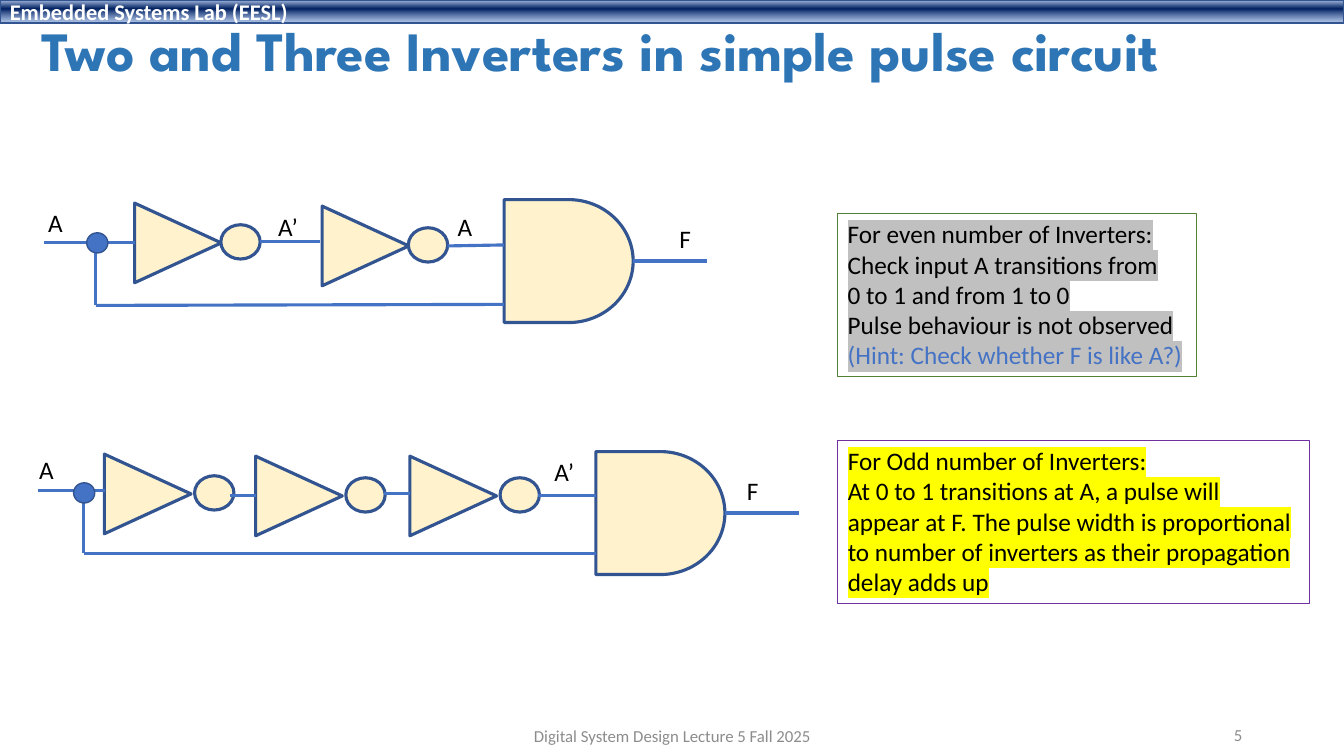
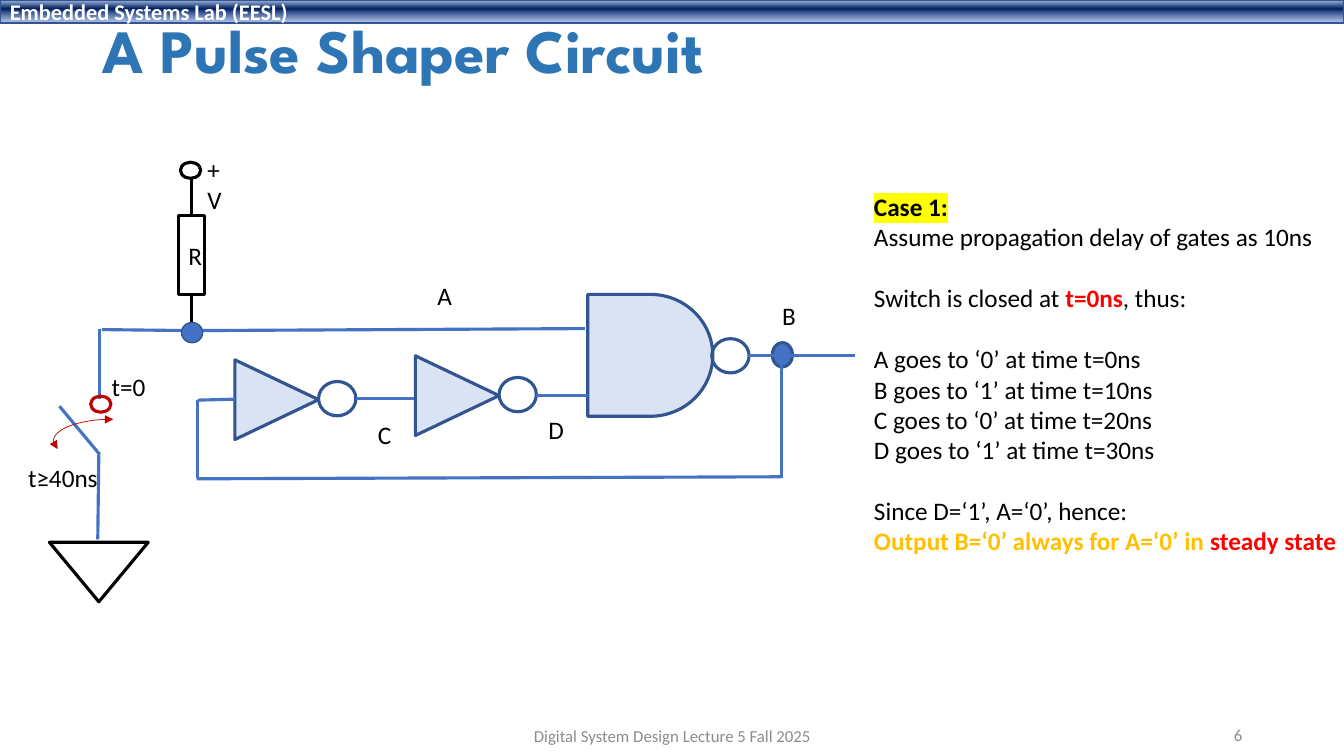
from lxml.etree import SubElement
from copy import deepcopy
from pptx import Presentation
from pptx.dml.color import RGBColor
from pptx.enum.shapes import MSO_CONNECTOR, MSO_SHAPE
from pptx.enum.text import MSO_ANCHOR, PP_ALIGN
from pptx.oxml.ns import qn
from pptx.util import Inches, Pt

COLORS = {
    "black": "000000", "white": "FFFFFF", "title": "2E75B6", "muted": "8C8C8C",
    "wire": "4472C4", "outline": "325491", "cream": "FFF2CC", "pale": "DAE3F3",
    "yellow": "FFFF00", "silver": "C0C0C0", "purple": "7030A0", "green": "548235",
    "red": "FF0000", "dark_red": "C00000", "gold": "FFC000",
    "band_top": "ABC0E4", "band_middle": "002060", "band_bottom": "7E9ED6",
}


def rgb(name):
    return RGBColor.from_string(COLORS[name])


class CircuitDeck:
    body_font = "Calibri"
    title_font = "League Spartan"
    stroke = 2.25
    line_height = 22

    def __init__(self):
        self.presentation = Presentation()
        self.presentation.slide_width = Inches(13.33)
        self.presentation.slide_height = Inches(7.5)
        self.slide = None

    def start(self, title, number, left, width, size):
        layout = self.presentation.slide_layouts[6]
        self.slide = self.presentation.slides.add_slide(layout)
        self.header()
        self.text(left, 0.15, width, 0.77, [title], size=size, color="title", bold=True,
                  font=self.title_font, anchor=MSO_ANCHOR.MIDDLE, spacing=0.9, wrap=True)
        for box, words, align in (((9.42, 7.09, 3, 0.4), number, PP_ALIGN.RIGHT),
                                  ((4.42, 7.1, 4.5, 0.4),
                                   "Digital System Design Lecture 5 Fall 2025", PP_ALIGN.CENTER)):
            self.text(*box, [words], size=12, color="muted", align=align,
                      anchor=MSO_ANCHOR.MIDDLE, wrap=True)

    def header(self):
        band = self.shape(MSO_SHAPE.RECTANGLE, 0, 0, 13.33, 0.23, weight=1)
        band.fill.gradient()
        band.fill.gradient_angle = 270
        stop_list = band._element.spPr.find(".//" + qn("a:gsLst"))
        stop_list.append(deepcopy(stop_list[-1]))
        stops = ((0.02, "band_top"), (0.38, "band_middle"), (0.93, "band_bottom"))
        for stop, (position, color) in zip(band.fill.gradient_stops, stops):
            stop.position = position
            stop.color.rgb = rgb(color)
        SubElement(stop_list[-1][0], qn("a:alpha")).set("val", "64000")
        self.set_text(band.text_frame, ["Embedded Systems Lab (EESL)"],
                      size=16, color="white", bold=True, anchor=MSO_ANCHOR.MIDDLE)

    def set_text(self, frame, paragraphs, size=18, color="black", bold=False, font=None,
                 align=PP_ALIGN.LEFT, anchor=MSO_ANCHOR.TOP, spacing=None, wrap=True,
                 highlight=None):
        frame.word_wrap = wrap
        frame.vertical_anchor = anchor
        for index, content in enumerate(paragraphs):
            paragraph = frame.paragraphs[0] if index == 0 else frame.add_paragraph()
            item = content if isinstance(content, dict) else {"runs": [(content,)]}
            paragraph.alignment = align
            paragraph.line_spacing = spacing
            if item.get("gap"):
                paragraph.space_before = Pt(self.line_height)
            paragraph.font.name = font or self.body_font
            paragraph.font.size = Pt(size)
            paragraph.font.bold = item.get("bold", bold)
            paragraph.font.color.rgb = rgb(item.get("color", color))
            for words, *style in item["runs"]:
                run = paragraph.add_run()
                run.text = words
                if style:
                    run.font.color.rgb = rgb(style[0])
                    run.font.bold = True
                marker = item.get("highlight", highlight)
                if marker:
                    mark = SubElement(run.font._element, qn("a:highlight"))
                    SubElement(mark, qn("a:srgbClr")).set("val", COLORS[marker])

    def text(self, left, top, width, height, paragraphs, outline=None, wrap=False, **style):
        box = self.slide.shapes.add_textbox(*map(Inches, (left, top, width, height)))
        if outline:
            box.line.color.rgb = rgb(outline)
            box.line.width = Pt(0.75)
        self.set_text(box.text_frame, paragraphs, wrap=wrap, **style)

    def label(self, words, left, top, width=0.35, wrap=False):
        self.text(left, top, width, 0.4, [words], wrap=wrap)

    def shape(self, kind, left, top, width, height, fill=None, outline="outline",
              weight=stroke, rotation=0):
        shape = self.slide.shapes.add_shape(kind, *map(Inches, (left, top, width, height)))
        shape.shadow.inherit = False
        shape.rotation = rotation
        if fill:
            shape.fill.solid()
            shape.fill.fore_color.rgb = rgb(fill)
        else:
            shape.fill.background()
        shape.line.color.rgb = rgb(outline)
        shape.line.width = Pt(weight)
        return shape

    def circle(self, left, top, width, height, **style):
        return self.shape(MSO_SHAPE.OVAL, left, top, width, height, **style)

    def node(self, left, top):
        self.circle(left, top, 0.21, 0.2, fill="wire", weight=1)

    def inverter(self, left, top, length, offset, fill, bubble_width, bubble_fill=None):
        self.shape(MSO_SHAPE.ISOSCELES_TRIANGLE, left, top, 0.79, length,
                   fill=fill, rotation=90)
        self.circle(left + offset, top + length / 2 - 0.18, bubble_width, 0.34,
                    fill=bubble_fill)

    def gate(self, left, top, width, height, fill):
        return self.shape(MSO_SHAPE.FLOWCHART_DELAY, left, top, width, height, fill=fill)

    def wire(self, start, end, color="wire", source=None):
        wire = self.slide.shapes.add_connector(
            MSO_CONNECTOR.STRAIGHT, *map(Inches, (*start, *end)))
        if source:
            wire.begin_connect(*source)
        wire.line.color.rgb = rgb(color)
        wire.line.width = Pt(self.stroke)
        SubElement(wire._element.spPr, qn("a:effectLst"))

    def wires(self, *routes):
        for start, end in routes:
            self.wire(start, end)

    def swing(self, left, top, width, height):
        arc = self.shape(MSO_SHAPE.ARC, left, top, width, height,
                         outline="dark_red", weight=0.5)
        arc.adjustments[0], arc.adjustments[1] = 102.83, 164.19
        outline = arc._element.spPr.find(qn("a:ln"))
        for end in ("a:headEnd", "a:tailEnd"):
            SubElement(outline, qn(end)).set("type", "triangle")


def inverter_chains(deck):
    deck.start("Two and Three Inverters in simple pulse circuit", "5", 0.31, 12.82, 39.6)

    for left, top in ((1.37, 1.98), (3.23, 2.01)):
        deck.inverter(left, top, 0.86, 0.82, "cream", 0.39, "cream")
    even_gate = deck.gate(5, 1.98, 1.28, 1.22, "cream")
    deck.wires(((0.44, 2.41), (1.34, 2.41)), ((2.58, 2.4), (3.17, 2.4)),
               ((4.44, 2.44), (5, 2.43)), ((0.95, 2.41), (0.95, 3.03)),
               ((0.95, 3.03), (5, 3.02)))
    deck.wire((6.28, 2.59), (7.01, 2.59), source=(even_gate, 3))
    deck.node(0.86, 2.31)

    for left, top in ((1.07, 4.47), (2.57, 4.49), (4.1, 4.49)):
        deck.inverter(left, top, 0.86, 0.86, "cream", 0.39, "cream")
    odd_gate = deck.gate(5.91, 4.48, 1.28, 1.22, "cream")
    deck.wires(((0.38, 4.87), (1.04, 4.87)), ((2.28, 4.92), (2.54, 4.92)),
               ((3.81, 4.9), (4.07, 4.9)), ((5.34, 4.92), (5.91, 4.92)),
               ((0.83, 4.87), (0.83, 5.49)), ((0.83, 5.49), (5.91, 5.49)))
    deck.wire((7.19, 5.09), (7.92, 5.09), source=(odd_gate, 3))
    deck.node(0.73, 4.79)

    for words, left, top, width in (
            ("A", 0.38, 2.01, 0.35), ("A’", 2.66, 2.05, 0.4), ("A", 4.44, 2.05, 0.35),
            ("F", 6.64, 2.17, 0.32), ("A", 0.29, 4.46, 0.35), ("A’", 5.4, 4.48, 0.4),
            ("F", 7.31, 4.67, 0.32)):
        deck.label(words, left, top, width)

    deck.text(8.31, 2.12, 3.56, 1.62, [
        "For even number of Inverters:",
        "Check input A transitions from",
        "0 to 1 and from 1 to 0",
        "Pulse behaviour is not observed",
        {"runs": [("(Hint: Check whether F is like A?)",)], "color": "wire"},
    ], outline="green", highlight="silver")
    deck.text(8.31, 4.37, 4.68, 1.62, [
        "For Odd number of Inverters:",
        "At 0 to 1 transitions at A, a pulse will",
        "appear at F. The pulse width is proportional",
        "to number of inverters as their propagation",
        "delay adds up",
    ], outline="purple", highlight="yellow")


def pulse_shaper(deck):
    deck.start("A Pulse Shaper Circuit", "6", 0.92, 11.5, 44)

    resistor = deck.shape(MSO_SHAPE.RECTANGLE, 1.77, 2.14, 0.26, 0.78, outline="black")
    deck.set_text(resistor.text_frame, ["R"], align=PP_ALIGN.CENTER, anchor=MSO_ANCHOR.MIDDLE)
    deck.wire((1.9, 2.14), (1.9, 1.77), "black", (resistor, 0))
    deck.wire((1.9, 2.92), (1.9, 3.3), "black", (resistor, 2))
    deck.circle(1.79, 1.61, 0.2, 0.16, outline="black")

    for left, top in ((2.35, 3.55), (4.14, 3.51)):
        deck.inverter(left, top, 0.83, 0.81, "pale", 0.37)
    deck.gate(5.83, 2.92, 1.24, 1.21, "pale")
    deck.circle(7.06, 3.36, 0.37, 0.34)
    deck.circle(7.66, 3.4, 0.2, 0.24, fill="wire")
    deck.wires(((1.96, 3.97), (2.33, 3.96)), ((3.53, 3.95), (4.11, 3.95)),
               ((5.32, 3.92), (5.83, 3.92)), ((7.42, 3.53), (8.48, 3.53)),
               ((1.89, 3.28), (5.8, 3.26)), ((1.96, 3.97), (1.96, 4.74)),
               ((1.95, 4.75), (7.75, 4.73)), ((7.75, 3.53), (7.75, 4.74)),
               ((1.9, 3.28), (1.01, 3.27)), ((0.99, 3.26), (0.99, 3.96)),
               ((0.98, 4.51), (0.97, 5.35)), ((0.99, 4.51), (0.59, 4.03)))
    deck.node(1.8, 3.2)

    deck.circle(0.9, 3.93, 0.2, 0.16, outline="dark_red")
    deck.swing(0.53, 4.16, 1.16, 0.43)
    deck.shape(MSO_SHAPE.ISOSCELES_TRIANGLE, 0.49, 5.38, 0.98, 0.59,
               outline="black", rotation=180)

    deck.label("+V", 1.96, 1.48, 0.46, wrap=True)
    for words, left, top, width in (
            ("A", 4.24, 2.73, 0.34), ("B", 7.66, 2.93, 0.34), ("C", 3.65, 4.11, 0.34),
            ("D", 5.34, 4.06, 0.35), ("t=0", 1.01, 3.63, 0.54), ("t≥40ns", 0.18, 4.54, 0.9)):
        deck.label(words, left, top, width)

    deck.text(8.57, 1.85, 4.83, 4.34, [
        {"runs": [("Case 1:",)], "bold": True, "highlight": "yellow"},
        "Assume propagation delay of gates as 10ns",
        {"runs": [("Switch is closed at ",), ("t=0ns", "red"), (", thus:",)], "gap": True},
        {"runs": [("A goes to ‘0’ at time t=0ns",)], "gap": True},
        "B goes to ‘1’ at time t=10ns",
        "C goes to ‘0’ at time t=20ns",
        "D goes to ‘1’ at time t=30ns",
        {"runs": [("Since D=‘1’, A=‘0’, hence:",)], "gap": True},
        {"runs": [("Output B=‘0’ always for A=‘0’ in ",), ("steady state", "red")],
         "color": "gold", "bold": True},
    ])


def main():
    deck = CircuitDeck()
    inverter_chains(deck)
    pulse_shaper(deck)
    deck.presentation.save("out.pptx")


if __name__ == "__main__":
    main()
